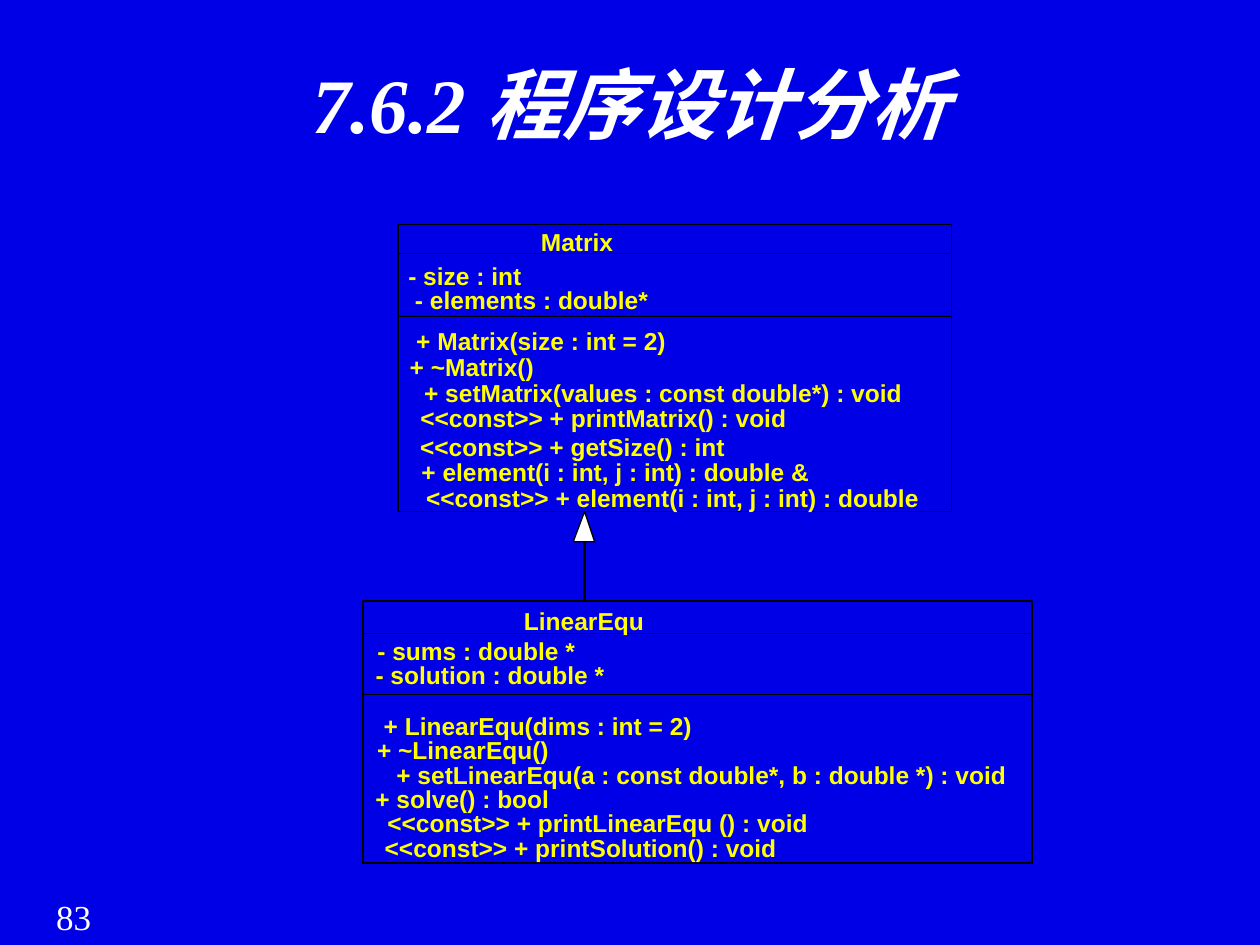
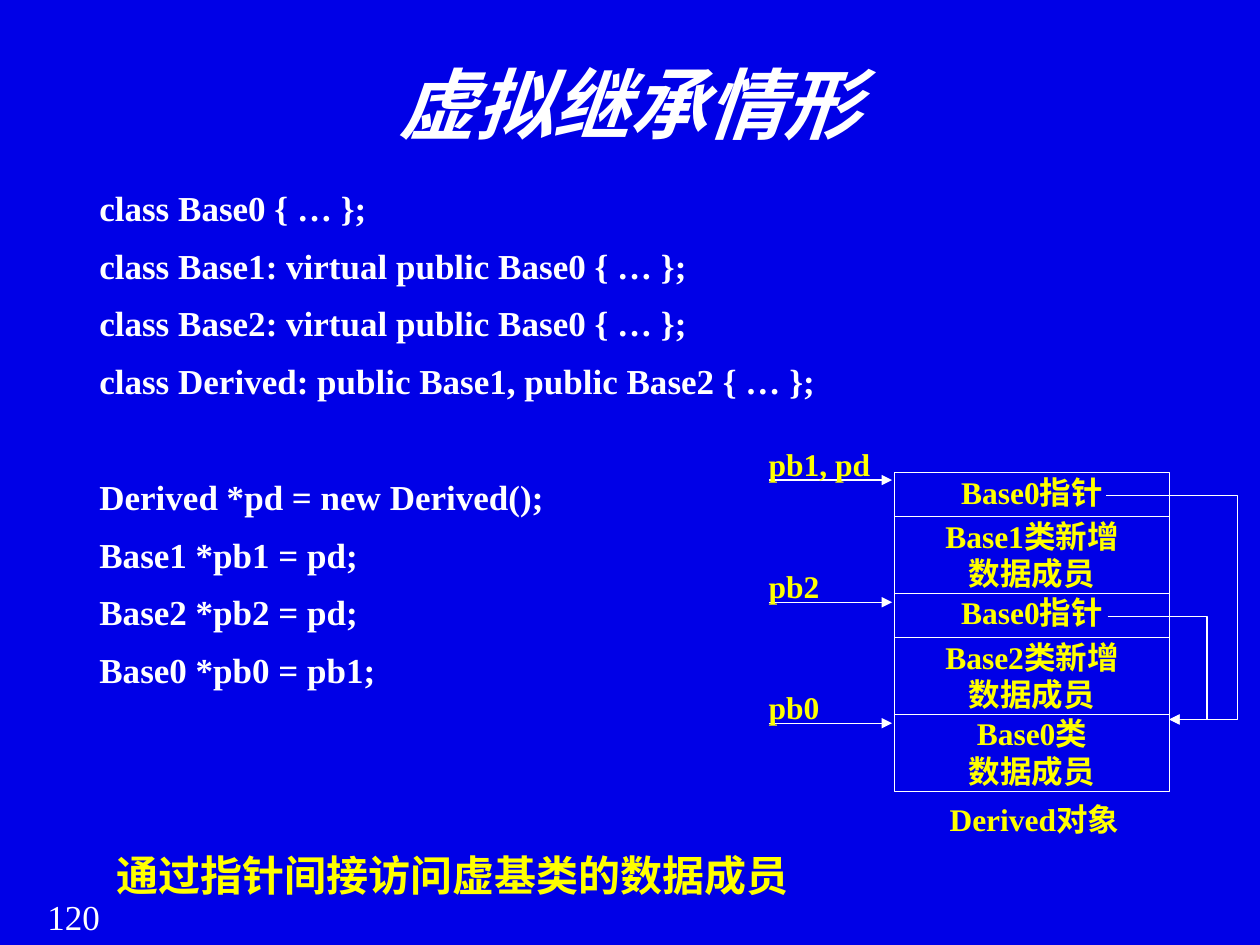
from pptx import Presentation
from pptx.dml.color import RGBColor
from pptx.enum.shapes import MSO_CONNECTOR, MSO_SHAPE
from pptx.enum.text import MSO_ANCHOR, PP_ALIGN
from pptx.oxml.ns import qn
from pptx.util import Inches, Pt
from lxml import etree

RECT = MSO_SHAPE.RECTANGLE
LINE, ELBOW = MSO_CONNECTOR.STRAIGHT, MSO_CONNECTOR.ELBOW
LEFT, MID = PP_ALIGN.LEFT, PP_ALIGN.CENTER
TOP = MSO_ANCHOR.TOP

BLUE, BLACK = RGBColor(0, 0, 231), RGBColor(0, 0, 0)
WHITE, GOLD = RGBColor(255, 255, 255), RGBColor(255, 255, 0)
SERIF = {"name": "Times New Roman", "bold": True}
THEME = {
    "title": (WHITE, {**SERIF, "size": Pt(44), "italic": True}),
    "page": (WHITE, {**SERIF, "size": Pt(20), "bold": False}),
    "code": (WHITE, {**SERIF, "size": Pt(20)}),
    "note": (GOLD, {**SERIF, "size": Pt(24)}),
    "cell": (GOLD, {**SERIF, "size": Pt(18)}),
    "uml": (GOLD, {"name": "Arial", "size": Pt(14), "bold": True}),
}
PAD = (0.1, 0.05)
HAIR, THIN = Pt(0), Pt(0.75)
SLACK = 0.05


def put(slide, at, text, look, align=MID, wrap=True, pad=(0, 0), edge=None):
    area = [Inches(n) for n in at]
    if edge:
        shape = slide.shapes.add_shape(RECT, *area)
        shape.shadow.inherit = False
        shape.fill.background()
        shape.line.color.rgb, shape.line.width = edge
    else:
        shape = slide.shapes.add_textbox(*area)
    frame = shape.text_frame
    side, end = [Inches(n) for n in pad]
    form = {"word_wrap": wrap, "vertical_anchor": TOP, "margin_left": side,
            "margin_right": side, "margin_top": end, "margin_bottom": end}
    for key, value in form.items():
        setattr(frame, key, value)
    frame.text = text
    color, style = THEME[look]
    for para in frame.paragraphs:
        para.alignment = align
        for run in para.runs:
            run.font.color.rgb = color
            for key, value in style.items():
                setattr(run.font, key, value)
    return frame


def link(slide, kind, ends, color, width, arrow=True):
    wire = slide.shapes.add_connector(kind, *[Inches(n) for n in ends])
    wire.line.color.rgb, wire.line.width = color, width
    if arrow:
        etree.SubElement(wire.line._get_or_add_ln(), qn("a:tailEnd"), type="triangle")
    etree.SubElement(wire._element.spPr, qn("a:effectLst"))
    return wire


deck = Presentation()
deck.slide_width, deck.slide_height = Inches(10), Inches(7.5)
back = deck.slide_master.background.fill
back.solid()
back.fore_color.rgb = BLUE

slides = []
for page, title in [("83", "7.6.2 程序设计分析"), ("120", "虚拟继承情形")]:
    slide = deck.slides.add_slide(deck.slide_layouts[6])
    put(slide, (0.17, 7.06, 0.83, 0.43), page, "page", pad=PAD)
    put(slide, (0.69, 0.4, 8.62, 1.45), title, "title", pad=PAD)
    slides.append(slide)
uml, heap = slides

models = [
    ("LinearEqu", 2.88, 5.31, (4.77, 5.03, 5.51), 6.85, (4.81, 3.51), [
        (2.99, 5.05, 1.58, "- sums : double *"),
        (2.98, 5.24, 1.82, "- solution : double *"),
        (3.04, 5.64, 2.46, "+ LinearEqu(dims : int = 2)"),
        (2.99, 5.83, 1.37, "+ ~LinearEqu()"),
        (3.14, 6.03, 4.86, "+ setLinearEqu(a : const double*, b : double *) : void"),
        (2.98, 6.22, 1.38, "+ solve() : bool"),
        (3.07, 6.41, 3.35, "<<const>> + printLinearEqu () : void"),
        (3.05, 6.61, 3.12, "<<const>> + printSolution() : void"),
    ]),
    ("Matrix", 3.16, 4.39, (1.78, 2.01, 2.51), 4.06, (1.8, 2.84), [
        (3.24, 2.07, 0.9, "- size : int"),
        (3.29, 2.26, 1.86, "- elements : double*"),
        (3.3, 2.59, 1.99, "+ Matrix(size : int = 2)"),
        (3.25, 2.79, 0.99, "+ ~Matrix()"),
        (3.36, 3, 3.81, "+ setMatrix(values : const double*) : void"),
        (3.33, 3.2, 2.92, "<<const>> + printMatrix() : void"),
        (3.33, 3.43, 2.43, "<<const>> + getSize() : int"),
        (3.34, 3.63, 3.09, "+ element(i : int, j : int) : double &"),
        (3.38, 3.83, 3.92, "<<const>> + element(i : int, j : int) : double"),
    ]),
]
for name, left, width, tops, base, (head, span), rows in models:
    for top in tops:
        put(uml, (left, top, width, base - top), "", "uml", edge=(BLACK, HAIR))
    put(uml, (left, head, span, 0.24), name, "uml")
    for x, y, wide, text in rows:
        put(uml, (x - SLACK, y, wide + 2 * SLACK, 0.24), text, "uml", wrap=False)

link(uml, LINE, (4.64, 4.76, 4.64, 4.06), BLACK, HAIR, arrow=False)
tip, *feet = [(Inches(x), Inches(y)) for x, y in [(4.64, 4.06), (4.72, 4.3), (4.55, 4.3)]]
draft = uml.shapes.build_freeform(*tip)
draft.add_line_segments(feet, close=True)
head = draft.convert_to_shape()
head.shadow.inherit = False
head.fill.solid()
head.fill.fore_color.rgb = WHITE
head.line.color.rgb, head.line.width = BLACK, HAIR

code = [
    "class Base0 { … };",
    "class Base1: virtual public Base0 { … };",
    "class Base2: virtual public Base0 { … };",
    "class Derived: public Base1, public Base2 { … };",
    "Derived *pd = new Derived();",
    "Base1 *pb1 = pd;",
    "Base2 *pb2 = pd;",
    "Base0 *pb0 = pb1;",
]
frame = put(heap, (0.69, 1.43, 8.62, 4.76), "\n".join(code), "code", LEFT, pad=PAD)
for para in frame.paragraphs:
    para.space_after = Pt(9)
frame.paragraphs[4].space_before = Pt(33)
put(heap, (0.8, 6.69, 5.59, 0.51), "通过指针间接访问虚基类的数据成员", "note", wrap=False, pad=PAD)

top = 3.75
for text, tall in [("Base0指针", 0.35), ("Base1类新增\n数据成员", 0.61),
                   ("Base0指针", 0.35), ("Base2类新增\n数据成员", 0.61),
                   ("Base0类\v数据成员", 0.61)]:
    put(heap, (7.1, top, 2.18, tall), text, "cell", edge=(WHITE, THIN))
    top += tall
put(heap, (7.53, 6.35, 1.36, 0.32), "Derived对象", "cell")

for text, y in [("pb1, pd", 3.81), ("pb2", 4.78), ("pb0", 5.74)]:
    link(heap, LINE, (6.1, y, 7.08, y), WHITE, THIN)
    put(heap, (6.1, y - 0.28, 1.15, 0.31), text, "cell", LEFT)

goal = 9.28
for x, y, bend in [(8.78, 3.93, 9.82), (8.79, 4.89, 9.58)]:
    wire = link(heap, ELBOW, (x, y, goal, 5.71), WHITE, THIN)
    guides = wire._element.spPr.find(qn("a:prstGeom")).get_or_add_avLst()
    ratio = round((bend - x) / (goal - x) * 100000)
    etree.SubElement(guides, qn("a:gd"), name="adj1", fmla=f"val {ratio}")

deck.save("out.pptx")
